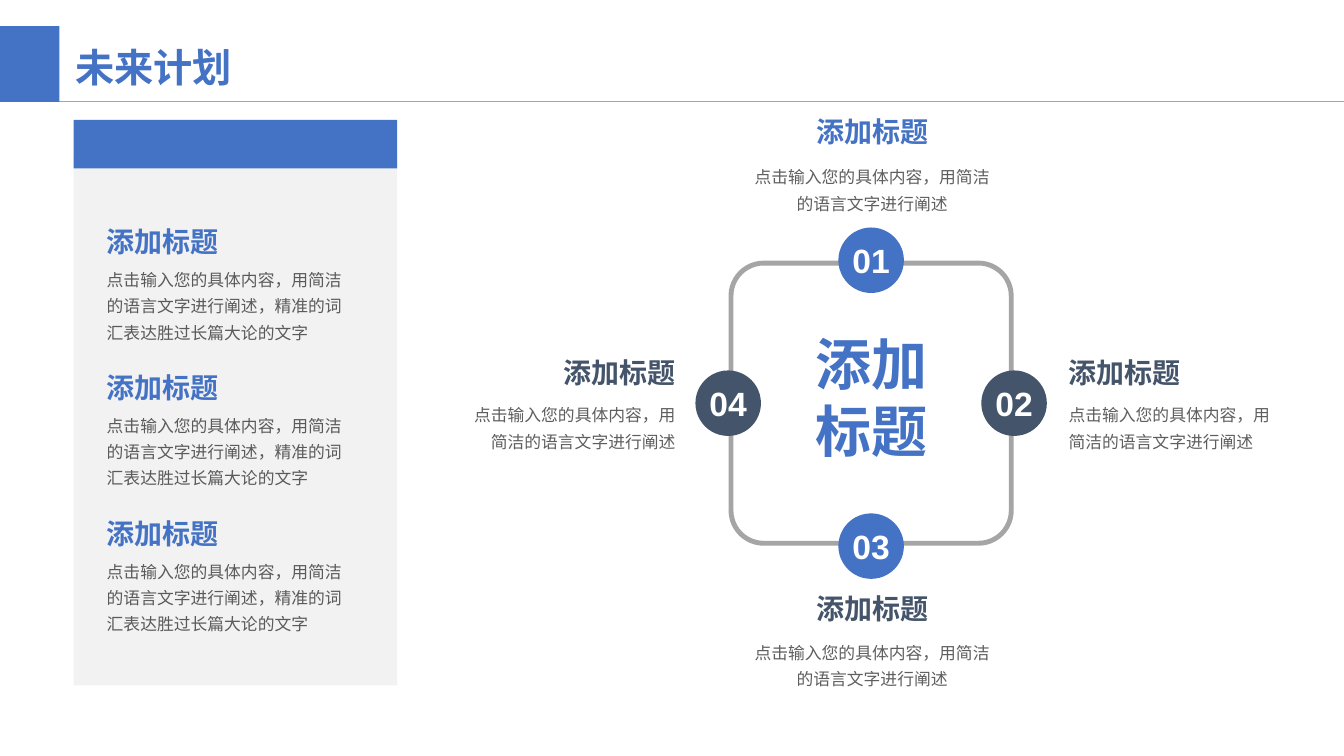
from math import cos, pi, sin

from lxml import etree
from pptx import Presentation
from pptx.dml.color import RGBColor
from pptx.enum.shapes import MSO_CONNECTOR, MSO_SHAPE
from pptx.enum.text import MSO_ANCHOR, PP_ALIGN
from pptx.oxml.ns import qn
from pptx.util import Inches, Pt

RECT, ROUND, OVAL = MSO_SHAPE.RECTANGLE, MSO_SHAPE.ROUNDED_RECTANGLE, MSO_SHAPE.OVAL
LINE = MSO_CONNECTOR.STRAIGHT
LEFT, MID, RIGHT = PP_ALIGN.LEFT, PP_ALIGN.CENTER, PP_ALIGN.RIGHT
CENTER = MSO_ANCHOR.MIDDLE
WIDE, HIGH = 13.33, 7.5
HEX = {"blue": "4472C4", "navy": "44546A", "gray": "A5A5A5",
       "pale": "F2F2F2", "ink": "1A1A1A", "white": "FFFFFF"}
FORM = {
    "head": {"size": Pt(28), "bold": True},
    "title": {"size": Pt(20), "bold": True},
    "body": {"size": Pt(12), "bold": False},
    "mark": {"size": Pt(24), "bold": True},
    "core": {"size": Pt(40), "bold": True},
}
TITLE = "添加标题"
SHORT = "点击输入您的具体内容，用简洁的语言文字进行阐述"
LONG = SHORT + "，精准的词汇表达胜过长篇大论的文字"


def tint(name):
    """Return the named colour."""
    return RGBColor.from_string(HEX[name])


def draw(slide, kind, box, fill=None, line=None, width=1):
    """Add a flat shape with an optional fill and outline."""
    shape = slide.shapes.add_shape(kind, *map(Inches, box))
    shape.shadow.inherit = False
    if fill:
        shape.fill.solid()
        shape.fill.fore_color.rgb = tint(fill)
    else:
        shape.fill.background()
    if line:
        shape.line.color.rgb = tint(line)
        shape.line.width = Pt(width)
    else:
        shape.line.fill.background()
    return shape


def write(frame, lines, form, color, align=LEFT, space=None, alpha=None):
    """Fill a text frame with paragraphs in one format."""
    frame.word_wrap = True
    for num, line in enumerate(lines):
        para = frame.add_paragraph() if num else frame.paragraphs[0]
        para.alignment = align
        para.line_spacing = space
        run = para.add_run()
        run.text = line
        for key, value in {"name": "Arial", **FORM[form]}.items():
            setattr(run.font, key, value)
        run.font.color.rgb = tint(color)
        if alpha:
            fill = run.font.fill._xPr.find(qn("a:solidFill"))
            etree.SubElement(fill[0], qn("a:alpha")).set("val", str(alpha * 1000))


def label(slide, box, *args, **more):
    """Add a text box and write in it."""
    frame = slide.shapes.add_textbox(*map(Inches, box)).text_frame
    write(frame, *args, **more)
    return frame


def banner(slide, box):
    """Place the corner block, the rule and the slide title."""
    x, y, w, h = box
    rule = slide.shapes.add_connector(
        LINE, *map(Inches, (x, y + h, x + w, y + h)))
    rule.line.color.rgb = tint("gray")
    rule.line.width = Pt(0.5)
    etree.SubElement(rule._element.spPr, qn("a:effectLst"))
    draw(slide, RECT, (x, y, 0.59, h), "blue")
    frame = label(slide, (x + 0.65, y + 0.16 * h, 5.22, 0.76 * h),
                  ["未来计划"], "head", "blue")
    frame.vertical_anchor = CENTER


def note(slide, box, gap, text, color, align):
    """Place a heading with its description a gap below."""
    x, y, w, h = box
    label(slide, (x, y, w, 0.44), [TITLE], "title", color, align)
    label(slide, (x, y + gap, w, h - gap), [text], "body", "ink", align,
          space=1.3, alpha=70)


def panel(slide, box):
    """Place the side panel with three evenly spaced notes."""
    x, y, w, h = box
    top, step = 0.36, 1.445
    draw(slide, RECT, (x, y + top, w, h - top), "pale")
    draw(slide, RECT, (x, y, w, 0.48), "blue")
    for row in range(3):
        place = (x + 0.23, y + 0.99 + row * step, 2.59, 1.25)
        note(slide, place, 0.39, LONG, "blue", LEFT)


def ring(slide, box):
    """Place the rounded frame, its centre words and four numbered discs."""
    x, y, w, h = box
    size, reach = 0.65, 0.51 * w
    frame = draw(slide, ROUND, box, line="gray", width=3.5)
    frame.adjustments[0] = 0.117
    label(slide, (x + 0.73, y + 0.61, w - 1.46, 1.45),
          ["添加", "标题"], "core", "blue", MID)
    for num in range(4):
        turn = num * pi / 2
        left = x + w / 2 + reach * sin(turn) - size / 2
        top = y + h / 2 - reach * cos(turn) - size / 2
        disc = draw(slide, OVAL, (left, top, size, size),
                    "navy" if num % 2 else "blue")
        text = disc.text_frame
        for side in ("left", "right", "top", "bottom"):
            setattr(text, f"margin_{side}", 0)
        text.vertical_anchor = CENTER
        write(text, [f"{num + 1:02}"], "mark", "white", MID)


def cycle(slide, box):
    """Place the ring amid its four notes."""
    x, y, w, h = box
    side, mid = 2.3, 2.59
    ring(slide, (x + 2.75, y + 1.52, 2.78, 2.78))
    center, level = x + (w - mid) / 2, y + 2.39
    note(slide, (center, y, mid, 1.06), 0.46, SHORT, "blue", MID)
    note(slide, (x + w - side, level, side, 1.03), 0.43, SHORT, "navy", LEFT)
    note(slide, (center, y + h - 1.05, mid, 1.05), 0.45, SHORT, "navy", MID)
    note(slide, (x, level, side, 1.03), 0.43, SHORT, "navy", RIGHT)


def main():
    """Build and save the slide."""
    deck = Presentation()
    deck.slide_width, deck.slide_height = Inches(WIDE), Inches(HIGH)
    slide = deck.slides.add_slide(deck.slide_layouts[6])
    banner(slide, (0, 0.26, WIDE, 0.1 * HIGH))
    panel(slide, (0.73, 1.19, 3.21, 5.61))
    cycle(slide, (4.5, 1.09, 8.3, 5.78))
    deck.save("out.pptx")


if __name__ == "__main__":
    main()
